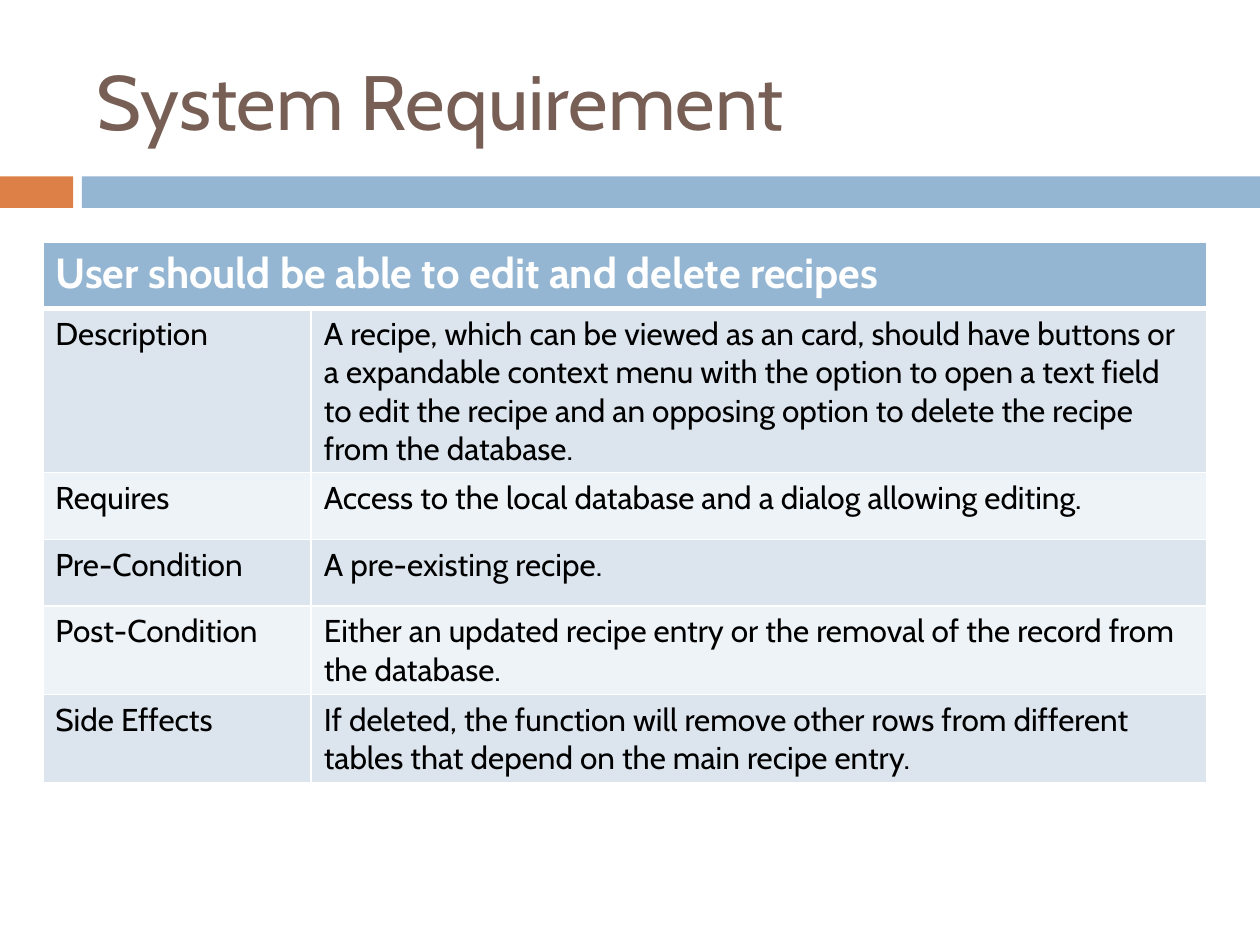
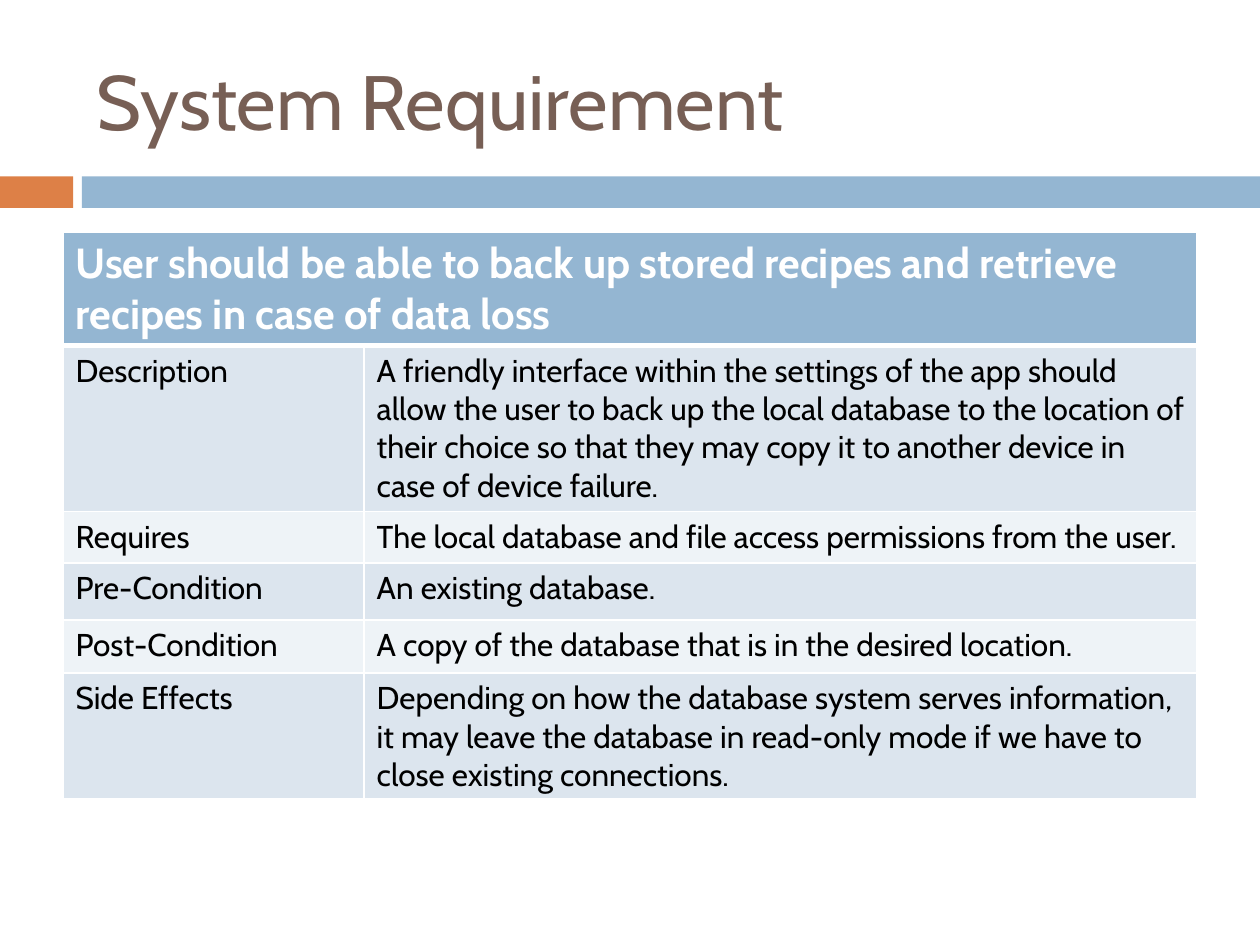
from collections import namedtuple

from lxml.etree import SubElement
from pptx import Presentation
from pptx.dml.color import RGBColor
from pptx.enum.shapes import MSO_SHAPE
from pptx.enum.text import MSO_ANCHOR
from pptx.oxml.ns import qn
from pptx.util import Inches, Pt

COLORS = {
    "title": "775F55",
    "accent": "DD8047",
    "blue": "94B6D2",
    "odd": "DCE5EE",
    "even": "EEF3F7",
    "white": "FFFFFF",
    "text": "000000",
}
FONT = "Cabin"
COLS, ROWS = 100, 75
UNIT = Inches(10) // COLS

Box = namedtuple("Box", "left top width height")
TITLE = Box(6.7, 2.5, 89.2, 10.8)
BAND = Box(0, 14, COLS, 2.5)
LABELS = ["Description", "Requires", "Pre-Condition", "Post-Condition", "Side Effects"]

SLIDES = [
    {
        "box": Box(3.4, 19.2, 92.4, 43),
        "label": 21.3,
        "rows": [5.3, 13, 5.3, 5.3, 5.3, 5.3],
        "head": "User should be able to edit and delete recipes",
        "facts": [
            "A recipe, which can be viewed as an card, should have buttons or a "
            "expandable context menu with the option to open a text field to edit "
            "the recipe and an opposing option to delete the recipe from the database.",
            "Access to the local database and a dialog allowing editing.",
            "A pre-existing recipe.",
            "Either an updated recipe entry or the removal of the record from the database.",
            "If deleted, the function will remove other rows from different tables "
            "that depend on the main recipe entry.",
        ],
    },
    {
        "box": Box(5, 18.4, 90, 45),
        "label": 23.9,
        "rows": [8.8, 13.2, 4.1, 4.5, 4.2, 4.1],
        "head": "User should be able to back up stored recipes and retrieve "
                "recipes in case of data loss",
        "facts": [
            "A friendly interface within the settings of the app should allow the "
            "user to back up the local database to the location of their choice so "
            "that they may copy it to another device in case of device failure.",
            "The local database and file access permissions from the user.",
            "An existing database.",
            "A copy of the database that is in the desired location.",
            "Depending on how the database system serves information, it may leave "
            "the database in read-only mode if we have to close existing connections.",
        ],
    },
]


def units(count):
    return round(count * UNIT)


def place(box):
    return [units(part) for part in box]


def color(name):
    return RGBColor.from_string(COLORS[name])


def paint(fill, name):
    fill.solid()
    fill.fore_color.rgb = color(name)


def write(frame, text, size, tint, bold=False):
    frame.word_wrap = True
    para = frame.paragraphs[0]
    para.text = text
    font = para.font
    font.name, font.size, font.bold = FONT, Pt(size), bold
    font.color.rgb = color(tint)


def edge(cell, **widths):
    """Draw white borders, 1 pt unless a side (L, R, T, B) is given a width."""
    props = cell._tc.get_or_add_tcPr()
    for side in "LRTB":
        line = SubElement(props, qn(f"a:ln{side}"), w=str(Pt(widths.get(side, 1))))
        fill = SubElement(line, qn("a:solidFill"))
        SubElement(fill, qn("a:srgbClr"), val=COLORS["white"])


def add_title(slide, box, text):
    frame = slide.shapes.add_textbox(*place(box)).text_frame
    frame.vertical_anchor = MSO_ANCHOR.MIDDLE
    write(frame, text, 44, "title")


def add_band(slide, box):
    """Split the band into a short accent block and a long blue bar."""
    block, start = box.width * 0.058, box.width * 0.065
    parts = [
        (box._replace(width=block), "accent"),
        (box._replace(left=box.left + start, width=box.width - start), "blue"),
    ]
    for part, tint in parts:
        bar = slide.shapes.add_shape(MSO_SHAPE.RECTANGLE, *place(part))
        bar.shadow.inherit = False
        paint(bar.fill, tint)
        bar.line.fill.background()


def add_sheet(slide, box, label, rows, head, facts):
    """Add a requirement table: a merged heading above label and fact rows."""
    table = slide.shapes.add_table(len(rows), 2, *place(box)).table
    table.horz_banding = False
    for column, width in zip(table.columns, (label, box.width - label)):
        column.width = units(width)
    for row, height in zip(table.rows, rows):
        row.height = units(height)

    top = table.cell(0, 0)
    top.merge(table.cell(0, 1))
    for cell in table.rows[0].cells:
        edge(cell, B=3)
        paint(cell.fill, "blue")
    write(top.text_frame, head, 24, "white", True)

    for index, pair in enumerate(zip(LABELS, facts), 1):
        for cell, text in zip(table.rows[index].cells, pair):
            edge(cell, T=3 if index == 1 else 1)
            paint(cell.fill, "odd" if index % 2 else "even")
            write(cell.text_frame, text, 18, "text")


def main():
    deck = Presentation()
    deck.slide_width, deck.slide_height = units(COLS), units(ROWS)
    for sheet in SLIDES:
        slide = deck.slides.add_slide(deck.slide_layouts[6])
        paint(slide.background.fill, "white")
        add_band(slide, BAND)
        add_title(slide, TITLE, "System Requirement")
        add_sheet(slide, **sheet)
    deck.save("out.pptx")


if __name__ == "__main__":
    main()
